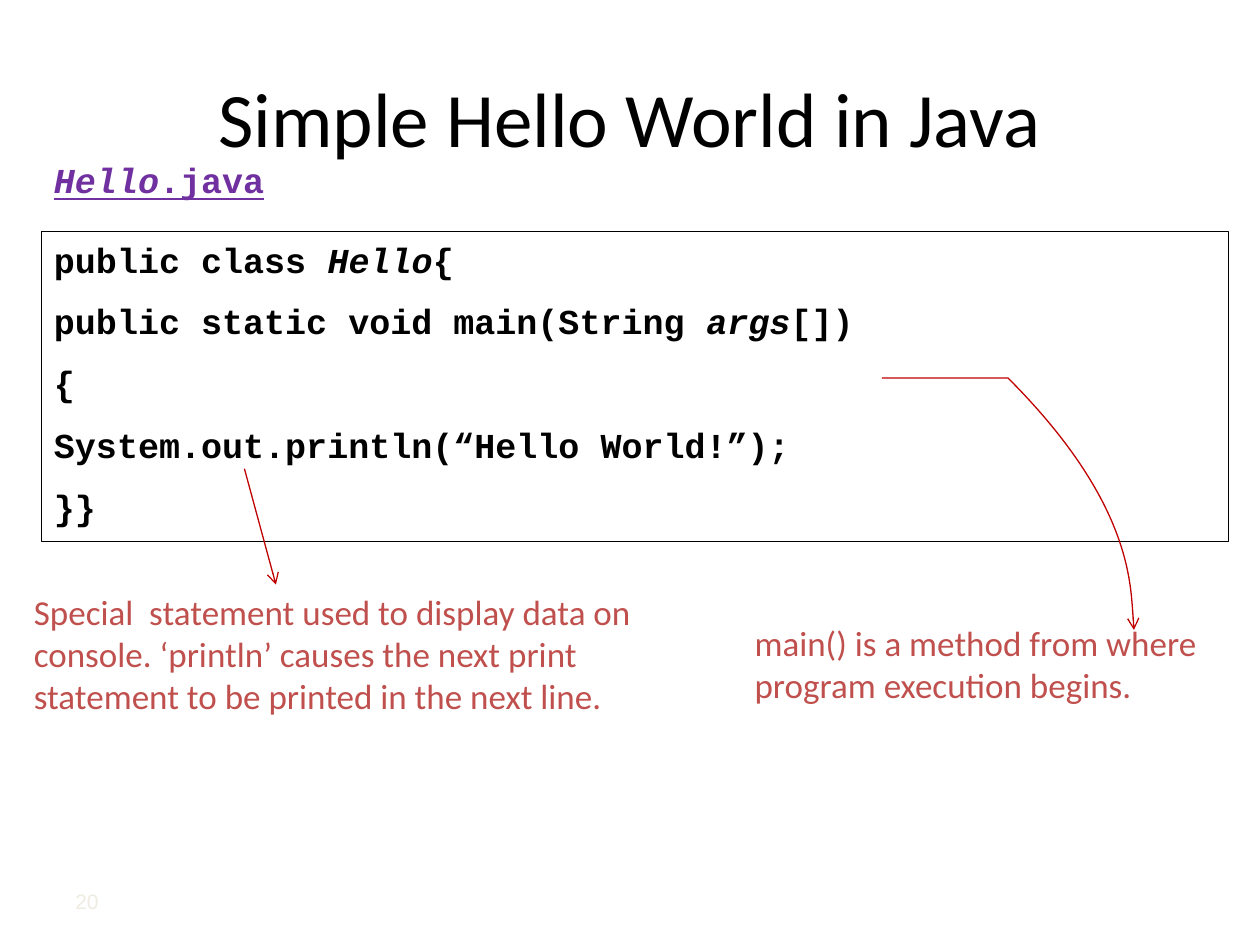
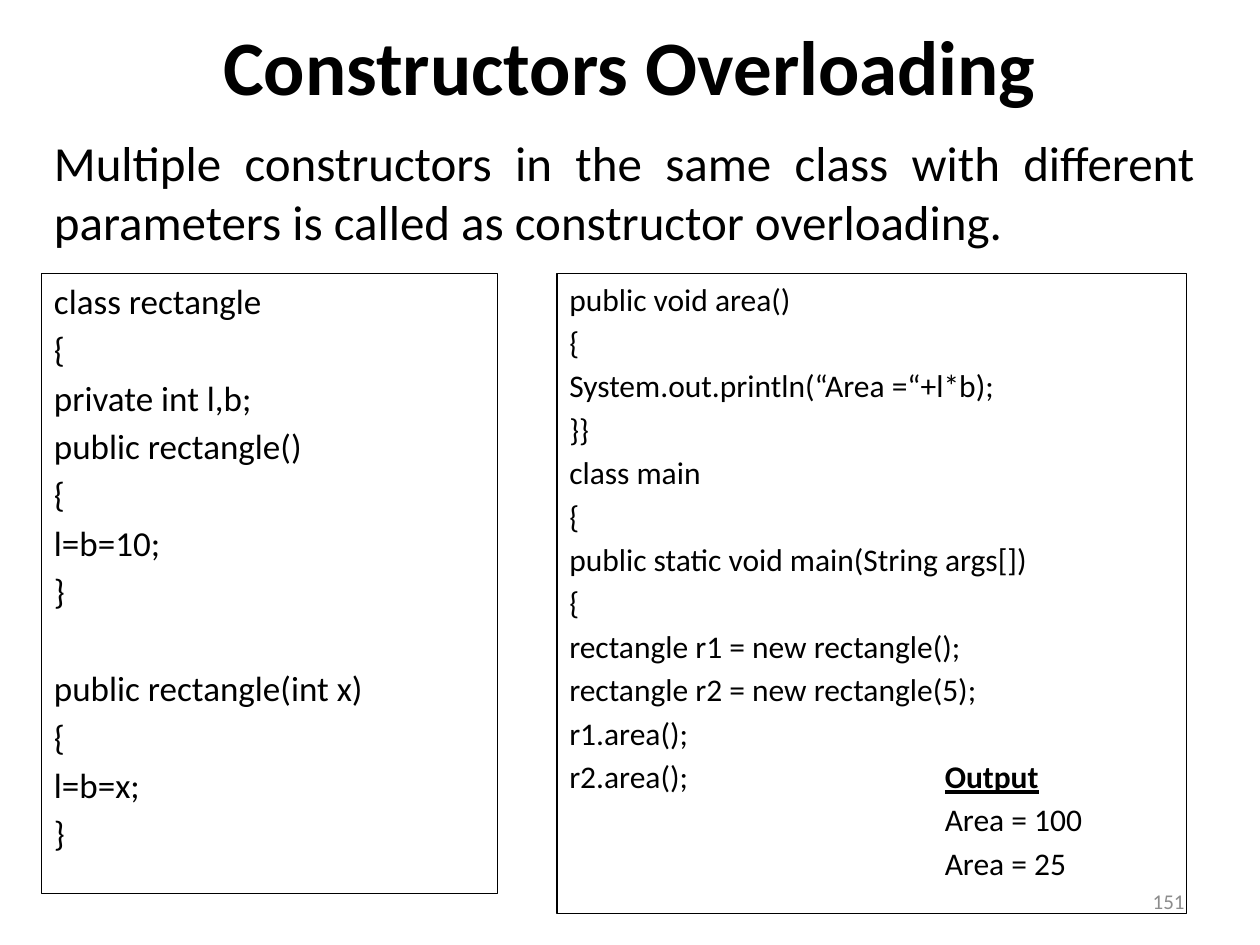
from lxml import etree
from pptx import Presentation
from pptx.dml.color import RGBColor
from pptx.enum.shapes import MSO_CONNECTOR as CONNECTOR, MSO_SHAPE as SHAPE
from pptx.enum.text import MSO_ANCHOR as ANCHOR, PP_ALIGN as ALIGN
from pptx.oxml.ns import qn
from pptx.util import Inches, Pt

BLACK = RGBColor(0x00, 0x00, 0x00)
PURPLE = RGBColor(0x70, 0x30, 0xA0)
NOTE_RED = RGBColor(0xC0, 0x50, 0x4D)
ARROW_RED = RGBColor(0xC0, 0x00, 0x00)
GRAY = RGBColor(0x8C, 0x8C, 0x8C)
PALE = RGBColor(0xEE, 0xEC, 0xE1)

BODY_FONT = "Calibri"
CODE_FONT = "Courier New"
OUTPUT_TAB = Inches(2.98)

# Each line is a list of (text, style) runs; a style holds letters from "biu".
HELLO_CODE = [
    [("public class ", "b"), ("Hello", "bi"), ("{", "b")],
    [("public static void main(String ", "b"), ("args", "bi"), ("[])", "b")],
    [("{", "b")],
    [("System.out.println(“Hello World!”);", "b")],
    [("}}", "b")],
]
DEFAULT_CONSTRUCTOR = [
    "class rectangle", "{", "private int l,b;",
    "public rectangle()", "{", "l=b=10;", "}",
]
INT_CONSTRUCTOR = ["public rectangle(int x)", "{", "l=b=x;", "}"]
MAIN_CODE = [
    "public void area()", "{", "System.out.println(“Area =“+l*b);", "}}",
    "class main", "{", "public static void main(String args[])", "{",
    "rectangle r1 = new rectangle();", "rectangle r2 = new rectangle(5);",
    "r1.area();",
    [("r2.area();\t", ""), ("Output", "bu")],
    "\tArea = 100", "\tArea = 25",
]


def place(sp, box):
    sp.left, sp.top, sp.width, sp.height = map(Inches, box)


def write(tf, lines, size, color=BLACK, font=BODY_FONT, align=ALIGN.LEFT, gap=0):
    """Fill a text frame with lines, each a string or a list of styled runs."""
    for i, line in enumerate(lines):
        p = tf.paragraphs[0] if i == 0 else tf.add_paragraph()
        p.alignment = align
        if i:
            p.space_before = Pt(gap)
        for text, style in [(line, "")] if isinstance(line, str) else line:
            r = p.add_run()
            r.text = text
            r.font.name, r.font.size = font, Pt(size)
            r.font.color.rgb = color
            r.font.bold = "b" in style
            r.font.italic = "i" in style
            r.font.underline = "u" in style


def add_title_slide(prs, title, box, style=""):
    slide = prs.slides.add_slide(prs.slide_layouts[5])
    sp = slide.shapes.title
    place(sp, box)
    sp.text_frame.vertical_anchor = ANCHOR.MIDDLE
    write(sp.text_frame, [[(title, style)]], 44, align=ALIGN.CENTER)
    return slide


def add_text(slide, box, lines, size, wrap=True, anchor=ANCHOR.TOP, **style):
    tf = slide.shapes.add_textbox(*map(Inches, box)).text_frame
    tf.word_wrap = wrap
    tf.vertical_anchor = anchor
    write(tf, lines, size, **style)


def add_code_box(slide, box, lines, size, **style):
    sp = slide.shapes.add_shape(SHAPE.RECTANGLE, *map(Inches, box))
    sp.shadow.inherit = False
    sp.fill.background()
    sp.line.color.rgb, sp.line.width = BLACK, Pt(0.75)
    tf = sp.text_frame
    tf.word_wrap = True
    tf.vertical_anchor = ANCHOR.TOP
    write(tf, lines, size, **style)
    return tf


def add_page_number(slide, left, number, size=12, **style):
    add_text(slide, (left, 6.95, 2.33, 0.4), [number], size,
             anchor=ANCHOR.MIDDLE, **style)


def style_arrow(sp):
    sp.line.color.rgb, sp.line.width = ARROW_RED, Pt(0.75)
    etree.SubElement(sp.line._get_or_add_ln(), qn("a:tailEnd"), type="arrow")


def add_straight_arrow(slide, start, end):
    sp = slide.shapes.add_connector(
        CONNECTOR.STRAIGHT, *map(Inches, start + end))
    style_arrow(sp)
    etree.SubElement(sp._element.spPr, qn("a:effectLst"))


def add_curved_arrow(slide, start, points):
    """Draw Bezier curves through points, given as two controls and an end."""
    builder = slide.shapes.build_freeform(*start, scale=Inches(1))
    builder.add_line_segments(points, close=False)
    sp = builder.convert_to_shape()
    sp.shadow.inherit = False
    sp.fill.background()
    style_arrow(sp)
    segments = list(sp._element.iter(qn("a:lnTo")))
    path = segments[0].getparent()
    for i in range(0, len(segments), 3):
        curve = etree.SubElement(path, qn("a:cubicBezTo"))
        for segment in segments[i:i + 3]:
            curve.append(segment[0])
            path.remove(segment)


def add_tab_stop(p, position):
    tabs = etree.SubElement(p._p.get_or_add_pPr(), qn("a:tabLst"))
    etree.SubElement(tabs, qn("a:tab"), pos=str(position), algn="l")


def build_hello_world(prs):
    slide = add_title_slide(prs, "Simple Hello World in Java", (0.5, 0.3, 9, 1.25))
    add_code_box(slide, (0.33, 1.84, 9.42, 2.46), HELLO_CODE, 20,
                 font=CODE_FONT, gap=11.4)
    add_text(slide, (0.33, 1.21, 1.88, 0.44),
             [[("Hello", "biu"), (".java", "bu")]], 20, wrap=False,
             color=PURPLE, font=CODE_FONT)
    add_text(slide, (5.89, 4.88, 4.08, 0.77),
             ["main() is a method from where program execution begins."],
             20, color=NOTE_RED)
    add_text(slide, (0.17, 4.64, 5.25, 1.11),
             ["Special  statement used to display data on console. ‘println’ "
              "causes the next print statement to be printed in the next line."],
             20, color=NOTE_RED)
    add_curved_arrow(slide, (6.92, 2.54), [
        (7.48, 2.66), (8.05, 2.78), (8.4, 3.17),
        (8.75, 3.56), (9, 4.88), (9, 4.88)])
    add_straight_arrow(slide, (1.94, 3.72), (2.19, 4.64))
    add_page_number(slide, 0.5, "20", color=PALE, font="Arial")


def build_overloading(prs):
    slide = add_title_slide(prs, "Constructors Overloading",
                            (0.5, 0.03, 9, 0.97), "b")
    add_text(slide, (0.33, 1, 9.25, 1.08),
             ["Multiple constructors in the same class with different "
              "parameters is called as constructor overloading."],
             28, align=ALIGN.JUSTIFY)
    add_page_number(slide, 7.17, "151", color=GRAY, align=ALIGN.RIGHT)
    tf = add_code_box(slide, (0.33, 2.17, 3.62, 4.92),
                      DEFAULT_CONSTRUCTOR + INT_CONSTRUCTOR, 20,
                      align=ALIGN.JUSTIFY, gap=3.6)
    tf.paragraphs[len(DEFAULT_CONSTRUCTOR)].space_before = Pt(31.6)
    tf = add_code_box(slide, (4.42, 2.17, 5, 5.08), MAIN_CODE, 18, gap=3.2)
    for p in tf.paragraphs[-3:]:
        add_tab_stop(p, OUTPUT_TAB)


def main():
    prs = Presentation()
    prs.slide_width, prs.slide_height = Inches(10), Inches(7.5)
    build_hello_world(prs)
    build_overloading(prs)
    prs.save("out.pptx")


if __name__ == "__main__":
    main()
